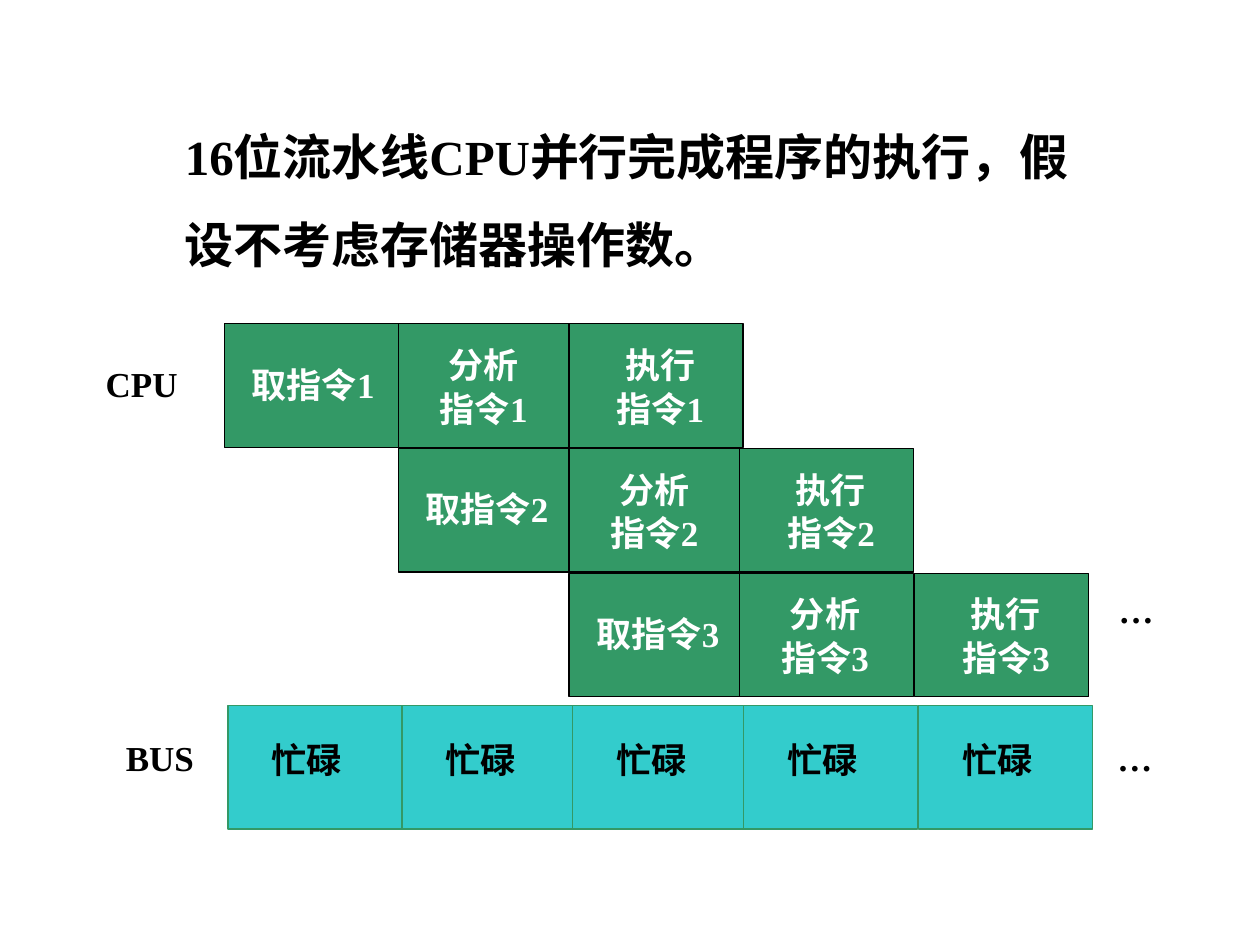
from dataclasses import dataclass

from pptx import Presentation
from pptx.dml.color import RGBColor
from pptx.enum.shapes import MSO_SHAPE
from pptx.enum.text import MSO_AUTO_SIZE, PP_ALIGN
from pptx.util import Pt

RECT = MSO_SHAPE.RECTANGLE
LEFT, CENTER = PP_ALIGN.LEFT, PP_ALIGN.CENTER
GROW = MSO_AUTO_SIZE.SHAPE_TO_FIT_TEXT


@dataclass(frozen=True)
class Theme:
    font: str = "Times New Roman"
    title_size: int = 28
    label_size: int = 20
    ink: RGBColor = RGBColor(0, 0, 0)
    light: RGBColor = RGBColor(255, 255, 255)
    stage: RGBColor = RGBColor(0x33, 0x99, 0x66)
    bus: RGBColor = RGBColor(0x33, 0xCC, 0xCC)


THEME = Theme()

# Left edges of the five clock slots, relative to the first slot
SLOTS = (0, 99.4, 197, 294.5, 394.5)
SLOT_W, SLOT_H = 99.4, 70.6
ROW_PITCH = 71.3


def add_text(slide, box, lines, color=THEME.ink, size=THEME.label_size,
             align=LEFT, line_spacing=None):
    """Bold text in a (left, top, width, height) box, one paragraph per line."""
    tf = slide.shapes.add_textbox(*map(Pt, box)).text_frame
    tf.word_wrap = True
    tf.auto_size = GROW
    tf.text = "\n".join(lines)
    for i, p in enumerate(tf.paragraphs):
        p.alignment = align
        p.line_spacing = line_spacing
        if i:
            p.space_before = Pt(1)
        for r in p.runs:
            r.font.name = THEME.font
            r.font.size = Pt(size)
            r.font.bold = True
            r.font.color.rgb = color


def add_block(slide, left, top, fill, line):
    sp = slide.shapes.add_shape(RECT, Pt(left), Pt(top), Pt(SLOT_W), Pt(SLOT_H))
    sp.shadow.inherit = False
    sp.fill.solid()
    sp.fill.fore_color.rgb = fill
    sp.line.color.rgb = line
    sp.line.width = Pt(0.75)


def add_title(slide, box):
    add_text(slide, box, ["16位流水线CPU并行完成程序的执行，假设不考虑存储器操作数。"],
             size=THEME.title_size, line_spacing=1.5)


def add_pipeline(slide, left, top, count):
    """Staircase of instructions, each starting one slot after the previous."""
    for row in range(count):
        number = row + 1
        y = top + row * ROW_PITCH
        stages = (
            ([f"取指令{number}"], 8.6, 19, 87.8, 31, LEFT),
            (["分析", f"指令{number}"], 9.2, 7.6, 79.2, 56.2, CENTER),
            (["执行", f"指令{number}"], 12.6, 7.6, 79.2, 56.2, CENTER),
        )
        for slot, (lines, dx, dy, w, h, align) in zip(SLOTS[row:], stages):
            x = left + slot
            add_block(slide, x, y, THEME.stage, THEME.ink)
            add_text(slide, (x + dx, y + dy, w, h), lines, THEME.light, align=align)


def add_bus(slide, left, top):
    for slot in SLOTS:
        add_block(slide, left + slot, top, THEME.bus, THEME.stage)
        add_text(slide, (left + slot + 18, top + 15, 72, 31.7), ["忙碌"])


def main():
    prs = Presentation()
    prs.slide_width, prs.slide_height = Pt(720), Pt(540)
    slide = prs.slides.add_slide(prs.slide_layouts[6])

    add_title(slide, (98.6, 51.8, 537.1, 103))
    add_pipeline(slide, 128.2, 185, count=3)
    add_bus(slide, 130.3, 403.2)
    for left, top, label in ((53.3, 203.8, "CPU"), (632.2, 332.6, "…"),
                             (64.8, 417.6, "BUS"), (631.4, 417.6, "…")):
        add_text(slide, (left, top, 64, 31.7), [label])

    prs.save("out.pptx")


if __name__ == "__main__":
    main()
